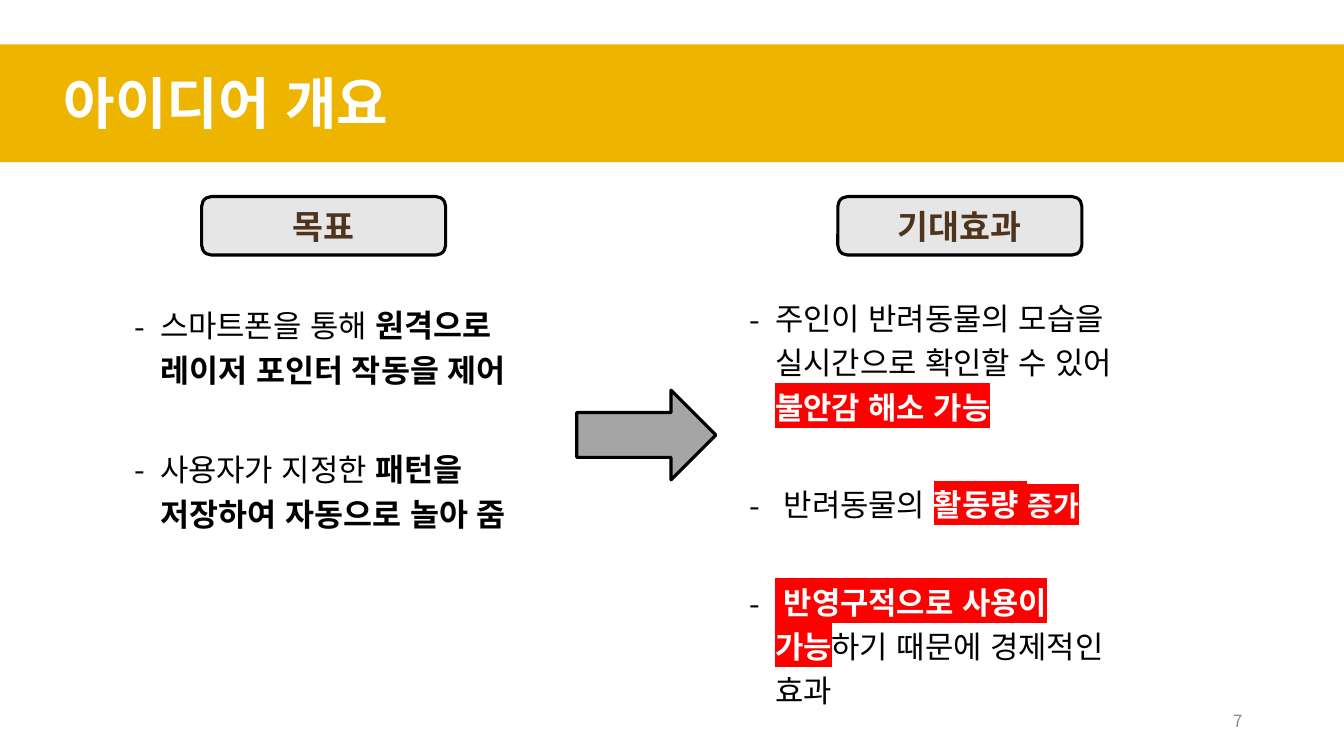
"""Build the idea overview slide: goals leading to expected effects."""
from dataclasses import dataclass

from lxml.etree import SubElement
from pptx import Presentation
from pptx.dml.color import RGBColor
from pptx.enum.lang import MSO_LANGUAGE_ID
from pptx.enum.shapes import MSO_SHAPE
from pptx.enum.text import MSO_ANCHOR, PP_ALIGN
from pptx.oxml.ns import qn
from pptx.util import Inches, Pt


@dataclass(frozen=True)
class Theme:
    family: str = "Noto Sans CJK KR"
    banner: str = "EEB500"
    label_fill: str = "E7E6E6"
    label_text: str = "4E341D"
    arrow: str = "A5A5A5"
    marker: str = "FF0000"
    black: str = "000000"
    white: str = "FFFFFF"
    gray: str = "8C8C8C"
    title: float = 40
    label: float = 24
    strong: float = 22.5
    body: float = 22
    small: float = 20
    number: float = 12
    outline: float = 2.25
    line_spacing: float = 1.2
    bullet_gap: float = 38


THEME = Theme()
PLAIN = dict(size=THEME.body, color=THEME.black)
STRONG = dict(size=THEME.strong, color=THEME.black, bold=True)
MARKED = dict(size=THEME.body, color=THEME.white, bold=True, marker=THEME.marker)
MARKED_SMALL = dict(MARKED, size=THEME.small)
TITLE = dict(size=THEME.title, color=THEME.white, bold=True)
LABEL = dict(size=THEME.label, color=THEME.label_text, bold=True)
NUMBER = dict(size=THEME.number, color=THEME.gray)

HEADING = " 아이디어 개요"
PAGE_NUMBER = "7"
COLUMNS = [
    dict(
        label="목표", label_left=2, area=(1.24, 2.91, 4.24, 3.16),
        bullets=[
            [("스마트폰을 통해 ", PLAIN), ("원격으로 레이저 포인터 작동을 제어", STRONG)],
            [("사용자가 지정한 ", PLAIN), ("패턴을 저장하여 자동으로 놀아 줌", STRONG)],
        ],
    ),
    dict(
        label="기대효과", label_left=8.31, area=(7.34, 2.85, 4.27, 4.3),
        bullets=[
            [("주인이 반려동물의 모습을 실시간으로 확인할 수 있어 ", PLAIN),
             ("불안감 해소 가능", MARKED)],
            [(" 반려동물의 ", PLAIN), ("활동량 ", MARKED), ("증가", MARKED_SMALL)],
            [(" 반영구적으로 사용이 가능", MARKED),
             ("하기 때문에 경제적인 효과", PLAIN)],
        ],
    ),
]


def add_span(para, text, size, color, bold=False, marker=None):
    span = para.add_run()
    span.text = text
    span.font.size = Pt(size)
    span.font.bold = bold
    span.font.language_id = MSO_LANGUAGE_ID.KOREAN
    span.font.color.rgb = RGBColor.from_string(color)
    properties = span._r.get_or_add_rPr()
    if marker:
        highlight = SubElement(properties, qn("a:highlight"))
        SubElement(highlight, qn("a:srgbClr"), val=marker)
    for script in ("a:latin", "a:ea"):
        SubElement(properties, qn(script), typeface=THEME.family)


def add_box(page, area, anchor=MSO_ANCHOR.TOP):
    box = page.shapes.add_textbox(*map(Inches, area))
    box.text_frame.word_wrap = True
    box.text_frame.vertical_anchor = anchor
    return box.text_frame


def add_figure(page, kind, area, fill, outlined=True):
    figure = page.shapes.add_shape(kind, *map(Inches, area))
    figure.shadow.inherit = False
    figure.fill.solid()
    figure.fill.fore_color.rgb = RGBColor.from_string(fill)
    if outlined:
        figure.line.color.rgb = RGBColor.from_string(THEME.black)
        figure.line.width = Pt(THEME.outline)
    else:
        figure.line.fill.background()
    return figure


def add_bullets(page, area, bullets):
    frame = add_box(page, area)
    for index, spans in enumerate(bullets):
        para = frame.add_paragraph() if index else frame.paragraphs[0]
        para.line_spacing = THEME.line_spacing
        para.space_before = Pt(THEME.bullet_gap if index else 0)
        properties = para._p.get_or_add_pPr()
        properties.set("marL", str(Inches(0.25)))
        properties.set("indent", str(Inches(-0.25)))
        bullet_color = SubElement(properties, qn("a:buClr"))
        SubElement(bullet_color, qn("a:srgbClr"), val=THEME.black)
        SubElement(properties, qn("a:buFont"), typeface=THEME.family)
        SubElement(properties, qn("a:buChar"), char="-")
        for text, style in spans:
            add_span(para, text, **style)


def add_column(page, label, label_left, area, bullets):
    add_bullets(page, area, bullets)
    plate = add_figure(page, MSO_SHAPE.ROUNDED_RECTANGLE,
                       (label_left, 1.95, 2.42, 0.58), THEME.label_fill)
    plate.text_frame.vertical_anchor = MSO_ANCHOR.MIDDLE
    para = plate.text_frame.paragraphs[0]
    para.alignment = PP_ALIGN.CENTER
    add_span(para, label, **LABEL)


def main():
    deck = Presentation()
    deck.slide_width, deck.slide_height = Inches(13.33), Inches(7.5)
    page = deck.slides.add_slide(deck.slide_layouts[6])
    add_figure(page, MSO_SHAPE.RECTANGLE, (0, 0.44, 13.33, 1.17),
               THEME.banner, outlined=False)
    title = add_box(page, (0.38, 0.63, 12.95, 0.77)).paragraphs[0]
    add_span(title, HEADING, **TITLE)
    for column in COLUMNS:
        add_column(page, **column)
    add_figure(page, MSO_SHAPE.RIGHT_ARROW, (5.72, 3.87, 1.38, 0.89), THEME.arrow)
    number = add_box(page, (9.42, 6.95, 3, 0.4), MSO_ANCHOR.MIDDLE).paragraphs[0]
    number.alignment = PP_ALIGN.RIGHT
    add_span(number, PAGE_NUMBER, **NUMBER)
    deck.save("out.pptx")


if __name__ == "__main__":
    main()
